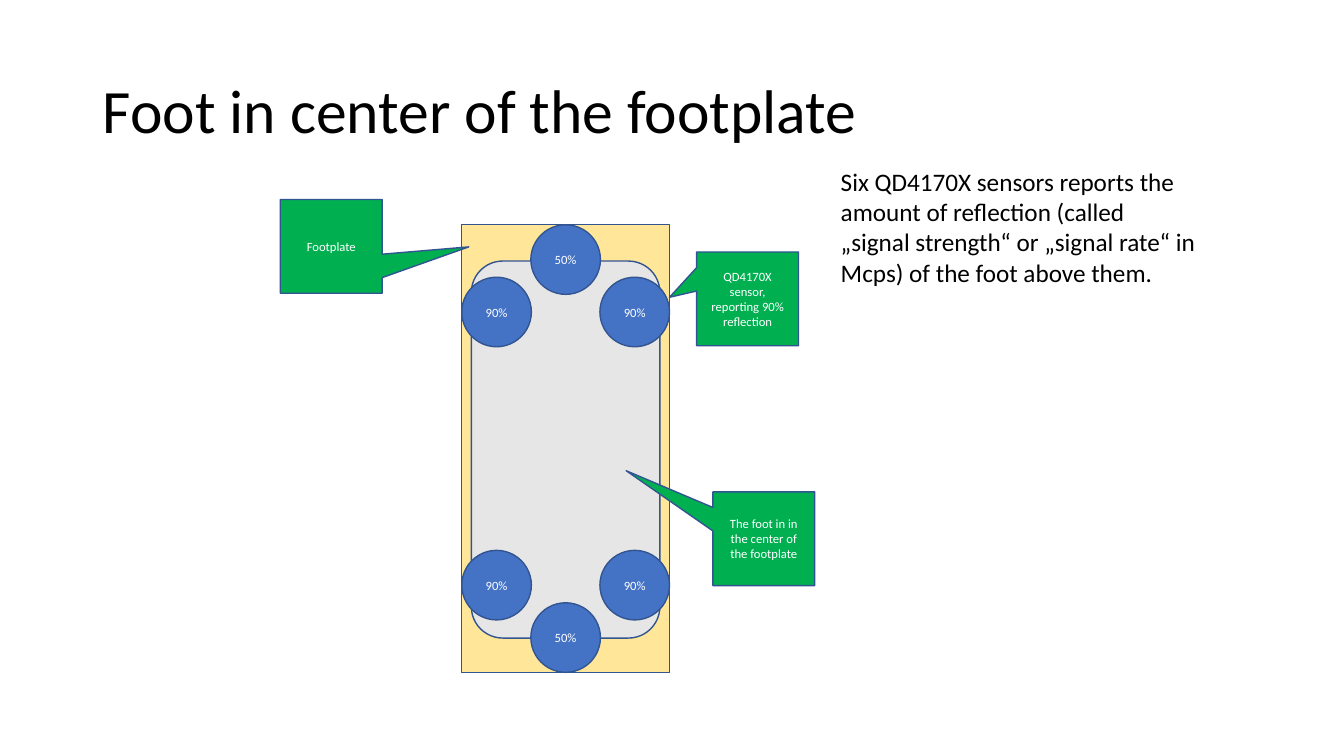
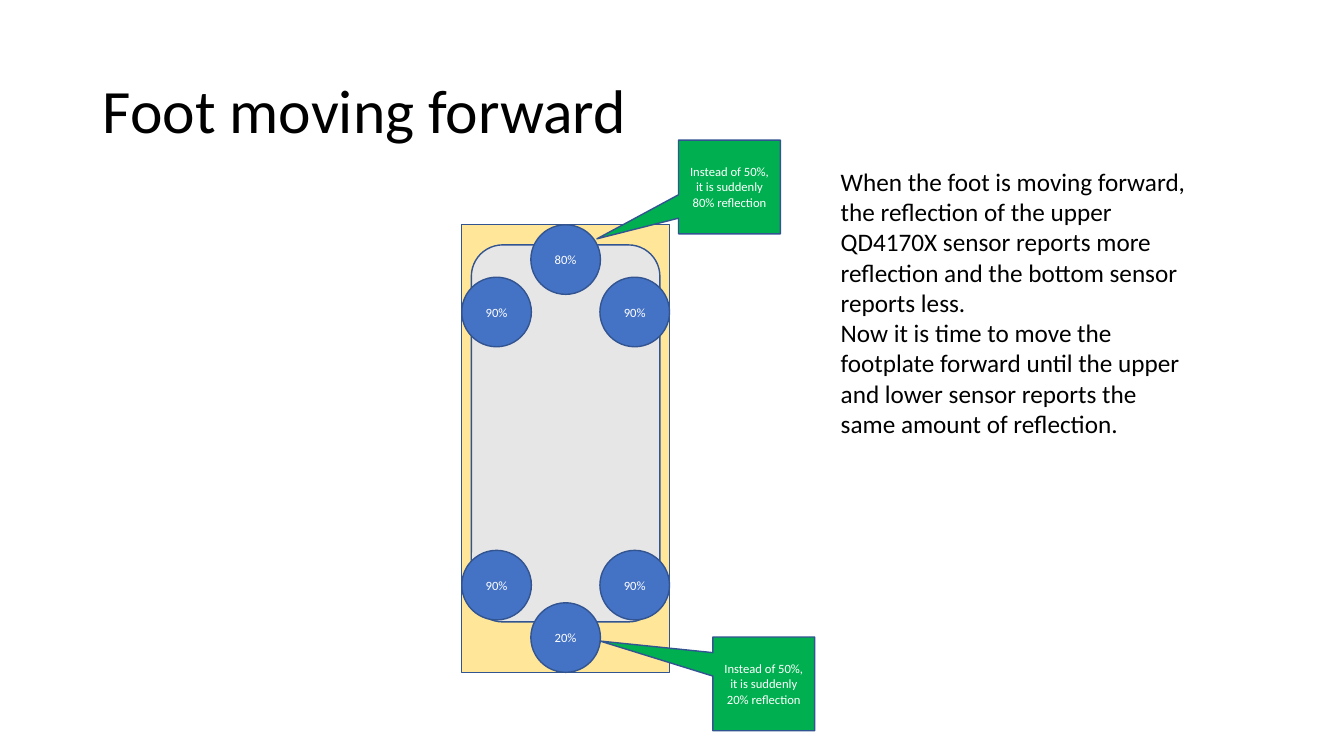
import pptx
import pptx.util
import pptx.dml.color
import pptx.enum.shapes
import pptx.enum.text
from dataclasses import dataclass

Inches = pptx.util.Inches
Kind = pptx.enum.shapes.MSO_SHAPE
Align = pptx.enum.text.PP_ALIGN
Anchor = pptx.enum.text.MSO_ANCHOR


@dataclass(frozen=True)
class Theme:
    font: str = "Calibri"
    ink: str = "000000"
    paper: str = "FFFFFF"
    outline: str = "325491"
    plate: str = "FFE699"
    foot: str = "E7E6E6"
    sensor: str = "4472C4"
    callout: str = "00B050"
    title_size: int = 44
    body_size: int = 18
    label_size: int = 9
    line_width: int = 1


THEME = Theme()
TITLE_BOX = (0.92, 0.4, 11.5, 1.45)
PLATE_BOX = (4.58, 2.23, 2.06, 4.44)
EXPLANATION_LEFT, EXPLANATION_TOP, EXPLANATION_WIDTH = 8.24, 1.6, 3.72
FOOT_SIZE = (1.87, 3.74)
SENSOR_SIZE = 0.69
SENSOR_SETBACK = 0.52
CALLOUT_SIZE = (1.01, 0.93)


def color(code):
    return pptx.dml.color.RGBColor.from_string(code)


def place(shape, box):
    shape.left, shape.top, shape.width, shape.height = map(Inches, box)


def write(text_frame, paragraphs, size, code, alignment):
    text_frame.word_wrap = True
    for index, text in enumerate(paragraphs):
        paragraph = text_frame.paragraphs[0] if index == 0 else text_frame.add_paragraph()
        paragraph.alignment = alignment
        run = paragraph.add_run()
        run.text = text
        run.font.name = THEME.font
        run.font.size = pptx.util.Pt(size)
        run.font.color.rgb = color(code)


def add_shape(slide, kind, box, fill, label=None):
    shape = slide.shapes.add_shape(kind, *map(Inches, box))
    shape.shadow.inherit = False
    shape.fill.solid()
    shape.fill.fore_color.rgb = color(fill)
    shape.line.color.rgb = color(THEME.outline)
    shape.line.width = pptx.util.Pt(THEME.line_width)
    if label:
        shape.text_frame.vertical_anchor = Anchor.MIDDLE
        write(shape.text_frame, [label], THEME.label_size, THEME.paper, Align.CENTER)
    return shape


def add_title(slide, box, text):
    title = slide.shapes.title
    place(title, box)
    title.text_frame.vertical_anchor = Anchor.MIDDLE
    write(title.text_frame, [text], THEME.title_size, THEME.ink, Align.LEFT)
    title.text_frame.paragraphs[0].line_spacing = 0.9


def add_footplate(slide, box, foot_offset, front, back, side="90%"):
    left, top, width, height = box
    add_shape(slide, Kind.RECTANGLE, box, THEME.plate)
    foot_left = left + (width - FOOT_SIZE[0]) / 2
    add_shape(slide, Kind.ROUNDED_RECTANGLE, (foot_left, top + foot_offset, *FOOT_SIZE), THEME.foot)

    right = width - SENSOR_SIZE
    bottom = height - SENSOR_SIZE
    rows = [(0, SENSOR_SETBACK, front), (bottom, bottom - SENSOR_SETBACK, back)]
    for end_y, side_y, reading in rows:
        for x, y, label in [(right / 2, end_y, reading), (0, side_y, side), (right, side_y, side)]:
            sensor_box = (left + x, top + y, SENSOR_SIZE, SENSOR_SIZE)
            add_shape(slide, Kind.OVAL, sensor_box, THEME.sensor, label)


def add_callout(slide, corner, tip, text):
    shape = add_shape(slide, Kind.RECTANGULAR_CALLOUT, (*corner, *CALLOUT_SIZE), THEME.callout, text)
    for axis in range(2):
        shape.adjustments[axis] = (tip[axis] - corner[axis]) / CALLOUT_SIZE[axis] - 0.5


def add_explanation(slide, box, paragraphs):
    text_box = slide.shapes.add_textbox(*map(Inches, box))
    write(text_box.text_frame, paragraphs, THEME.body_size, THEME.ink, Align.LEFT)
    text_box.text_frame.auto_size = pptx.enum.text.MSO_AUTO_SIZE.SHAPE_TO_FIT_TEXT


def add_foot_slide(presentation, title, foot_offset, front, back, explanation, height, callouts):
    slide = presentation.slides.add_slide(presentation.slide_layouts[5])
    add_title(slide, TITLE_BOX, title)
    add_footplate(slide, PLATE_BOX, foot_offset, front, back)
    explanation_box = (EXPLANATION_LEFT, EXPLANATION_TOP, EXPLANATION_WIDTH, height)
    add_explanation(slide, explanation_box, explanation)
    for corner, tip, text in callouts:
        add_callout(slide, corner, tip, text)


presentation = pptx.Presentation()
presentation.slide_width = Inches(13.33)
presentation.slide_height = Inches(7.5)

add_foot_slide(
    presentation,
    title="Foot in center of the footplate",
    foot_offset=0.36,
    front="50%",
    back="50%",
    explanation=[
        "Six QD4170X sensors reports the amount of reflection (called "
        "„signal strength“ or „signal rate“ in Mcps) of the foot above them."
    ],
    height=1.31,
    callouts=[
        ((6.91, 2.5), (6.64, 2.95), "QD4170X sensor, reporting 90% reflection"),
        ((7.07, 4.88), (6.21, 4.67), "The foot in in the center of the footplate"),
        ((2.78, 1.98), (4.65, 2.45), "Footplate"),
    ],
)
add_foot_slide(
    presentation,
    title="Foot moving forward",
    foot_offset=0.2,
    front="80%",
    back="20%",
    explanation=[
        "When the foot is moving forward, the reflection of the upper QD4170X sensor "
        "reports more reflection and the bottom sensor reports less.",
        "Now it is time to move the footplate forward until the upper and lower sensor "
        "reports the same amount of reflection.",
    ],
    height=2.83,
    callouts=[
        ((6.73, 1.39), (5.92, 2.37), "Instead of 50%, it is suddenly 80% reflection"),
        ((7.07, 6.32), (5.95, 6.36), "Instead of 50%, it is suddenly 20% reflection"),
    ],
)
presentation.save("out.pptx")
